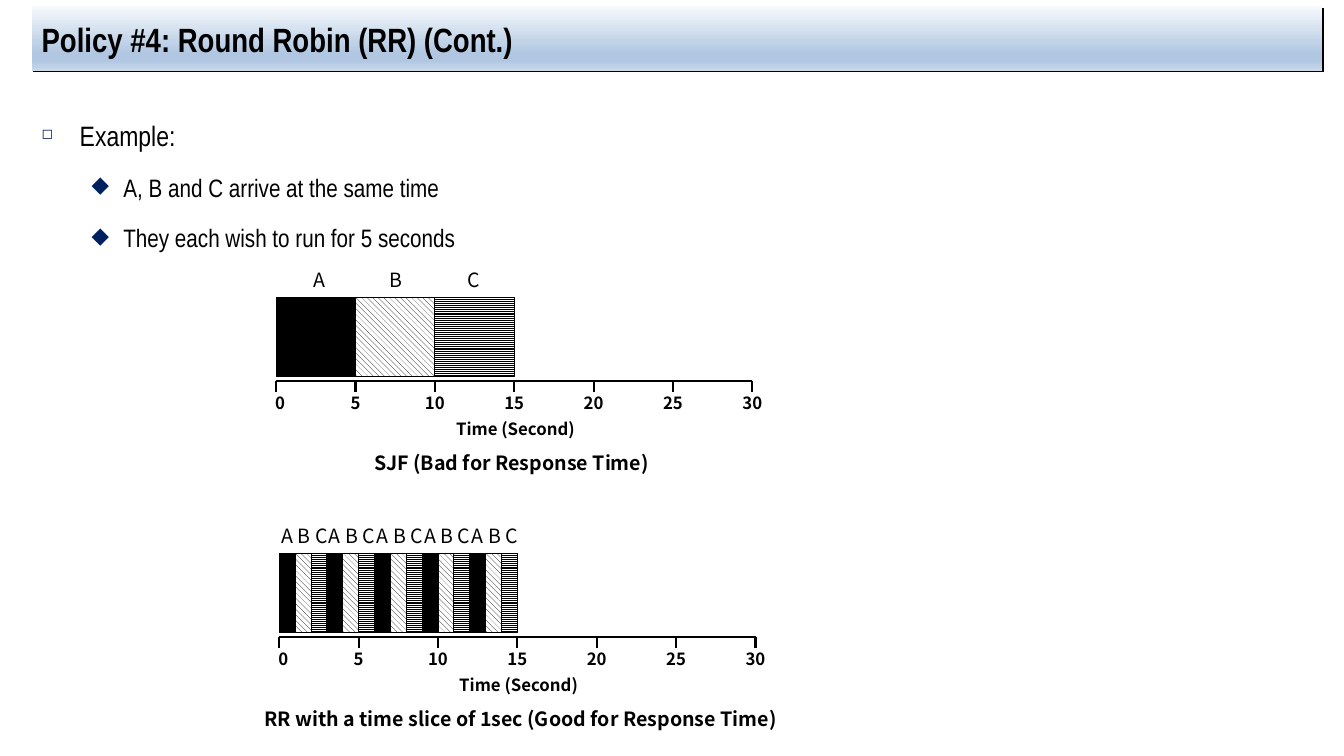
"""Build the Round Robin example slide comparing SJF and RR timelines."""
from lxml.etree import SubElement
from pptx import Presentation
from pptx.dml.color import RGBColor
from pptx.enum.dml import MSO_PATTERN
from pptx.enum.shapes import MSO_CONNECTOR, MSO_SHAPE
from pptx.enum.text import MSO_ANCHOR, MSO_AUTO_SIZE, PP_ALIGN
from pptx.oxml import parse_xml
from pptx.oxml.ns import nsdecls, qn
from pptx.util import Cm, Pt

COLORS = {"black": "000000", "white": "FFFFFF", "bullet": "002060",
          "pale": "F6F9FC", "blue": "B0C6E1", "light": "CAD9EB"}
RGB = {name: RGBColor.from_string(value) for name, value in COLORS.items()}
TITLE_FONT, CHART_FONT = "Arial Narrow", "Noto Sans CJK KR"


def add_label(shapes, text, center, top, width, size, bold=True):
    sp = shapes.add_textbox(Cm(center - width / 2), Cm(top), Cm(width), Cm(0.8))
    tf = sp.text_frame
    tf.word_wrap = True
    tf.auto_size = MSO_AUTO_SIZE.SHAPE_TO_FIT_TEXT
    tf.text = text
    p = tf.paragraphs[0]
    p.alignment = PP_ALIGN.CENTER
    r = p.runs[0]
    r.font.size, r.font.bold, r.font.name = Pt(size), bold, CHART_FONT
    r.font.color.rgb = RGB["black"]
    SubElement(r.font._element, qn("a:ea"), typeface=CHART_FONT)


def add_line(shapes, x1, y1, x2, y2):
    sp = shapes.add_connector(MSO_CONNECTOR.STRAIGHT, Cm(x1), Cm(y1), Cm(x2), Cm(y2))
    sp.line.color.rgb = RGB["black"]
    sp.line.width = Pt(1.5)
    SubElement(sp._element.spPr, qn("a:effectLst"))


prs = Presentation()
prs.slide_width, prs.slide_height = Cm(33.87), Cm(19.05)
s = prs.slides.add_slide(prs.slide_layouts[6])

title = s.shapes.add_shape(MSO_SHAPE.RECTANGLE, Cm(0.8), Cm(0.16), Cm(32.53), Cm(1.63))
title.line.fill.background()
stops = "".join(
    f'<a:gs pos="{pos * 1000}"><a:srgbClr val="{COLORS[name]}"/></a:gs>'
    for pos, name in [(0, "pale"), (74, "blue"), (83, "blue"), (100, "light")])
spPr = title._element.spPr
spPr.insert(2, parse_xml(
    f'<a:gradFill {nsdecls("a")} rotWithShape="1"><a:gsLst>{stops}</a:gsLst>'
    '<a:lin ang="5400000" scaled="0"/></a:gradFill>'))
spPr.append(parse_xml(
    f'<a:effectLst {nsdecls("a")}><a:outerShdw dist="{Pt(1.4)}" dir="2700000" '
    f'algn="tl" rotWithShape="0"><a:srgbClr val="{COLORS["black"]}"/>'
    '</a:outerShdw></a:effectLst>'))
tf = title.text_frame
tf.text = "Policy #4: Round Robin (RR) (Cont.)"
tf.word_wrap = True
tf.vertical_anchor = MSO_ANCHOR.MIDDLE
p = tf.paragraphs[0]
p.alignment = PP_ALIGN.LEFT
r = p.runs[0]
r.font.size, r.font.bold, r.font.name = Pt(24), True, TITLE_FONT
r.font.color.rgb = RGB["black"]

body = s.shapes.add_textbox(Cm(0.8), Cm(2.44), Cm(32.53), Cm(15.29))
tf = body.text_frame
tf.word_wrap = True
lines = [("Example:", 0, 20), ("A, B and C arrive at the same time", 1, 18),
         ("They each wish to run for 5 seconds", 1, 18)]
bullets = [("◻", 50, 0.96, -0.96), ("◆", 90, 2.06, -0.8)]
tf.text = "\n".join(text for text, level, size in lines)
for p, (text, level, size) in zip(tf.paragraphs, lines):
    char, percent, margin, indent = bullets[level]
    p.level = level
    p.line_spacing = 1.5
    if level:
        p.space_before = Pt(3.6)
    pPr = p._p.get_or_add_pPr()
    pPr.set("marL", str(Cm(margin)))
    pPr.set("indent", str(Cm(indent)))
    color = SubElement(pPr, qn("a:buClr"))
    SubElement(color, qn("a:srgbClr"), val=COLORS["bullet"])
    SubElement(pPr, qn("a:buSzPct"), val=str(percent * 1000))
    SubElement(pPr, qn("a:buChar"), char=char)
    r = p.runs[0]
    r.font.size, r.font.name = Pt(size), TITLE_FONT
    r.font.color.rgb = RGB["black"]

SECOND = 0.4
JOBS = [("A", None), ("B", MSO_PATTERN.WIDE_DOWNWARD_DIAGONAL),
        ("C", MSO_PATTERN.LIGHT_HORIZONTAL)]
timelines = [
    (6.96, 6.63, 5, 1.95, "SJF (Bad for Response Time)", 12.9),
    (7.04, 13.08, 1, 0.43, "RR with a time slice of 1sec (Good for Response Time)", 13.12),
]
for left, top, time_slice, letter_step, caption, caption_center in timelines:
    shapes = s.shapes.add_group_shape().shapes
    axis = top + 2.97
    add_line(shapes, left, axis, left + 30 * SECOND, axis)
    for second in range(0, 31, 5):
        x = left + second * SECOND
        add_line(shapes, x, axis, x, axis + 0.27)
        nudge = 0 if second else 0.1
        add_label(shapes, str(second), x + nudge, top + 3.13, 1.3, 12)
    add_label(shapes, "Time (Second)", left + 15 * SECOND + 0.03, top + 3.8, 4.2, 12)
    add_label(shapes, caption, caption_center, top + 4.6, 13.64, 14)

    width = time_slice * SECOND
    for i in range(15 // time_slice):
        job = i % 3
        name, pattern = JOBS[job]
        x = left + i * width
        bar = shapes.add_shape(MSO_SHAPE.RECTANGLE, Cm(x), Cm(top + 0.86), Cm(width), Cm(2))
        bar.shadow.inherit = False
        bar.line.color.rgb = RGB["black"]
        bar.line.width = Pt(0.75)
        if pattern is None:
            bar.fill.solid()
            bar.fill.fore_color.rgb = RGB["black"]
        else:
            bar.fill.patterned()
            bar.fill.pattern = pattern
            bar.fill.fore_color.rgb = RGB["black"]
            bar.fill.back_color.rgb = RGB["white"]
        letter_center = left + (i - job + 1.5) * width + (job - 1) * letter_step + 0.03
        add_label(shapes, name, letter_center, top, 1, 14, False)

prs.save("out.pptx")
